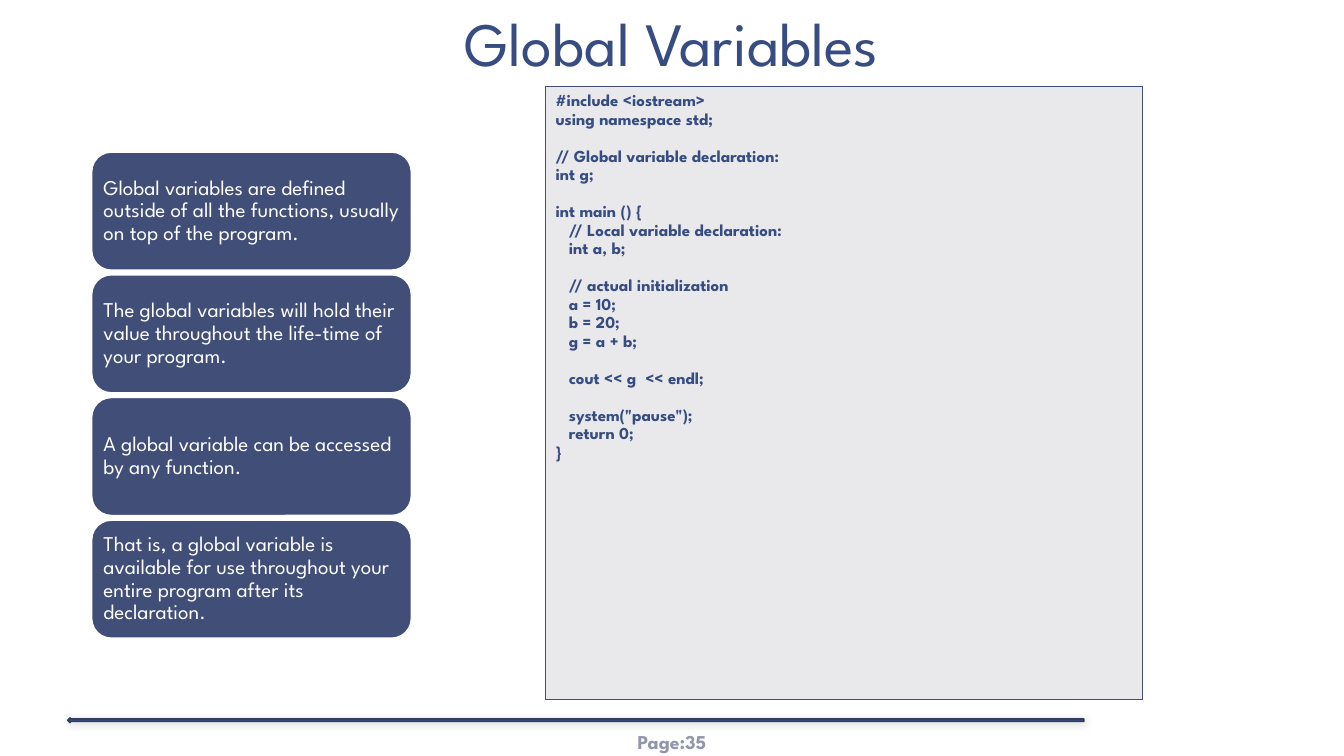
"""Build the Global Variables slide: four statement cards beside a code listing."""
from lxml.etree import SubElement
from pptx import Presentation
from pptx.dml.color import RGBColor
from pptx.enum.shapes import MSO_SHAPE as Shape
from pptx.enum.text import MSO_ANCHOR as Anchor, PP_ALIGN as Align
from pptx.oxml.ns import qn
from pptx.util import Inches, Pt

FONT = "League Spartan"
WHITE = RGBColor(0xFF, 0xFF, 0xFF)
BLUE = RGBColor(0x37, 0x4C, 0x81)
CARD_BLUE = RGBColor(0x41, 0x4E, 0x77)
DARK_BLUE = RGBColor(0x30, 0x3A, 0x58)
PAGE_GREY = RGBColor(0x91, 0x96, 0xAC)
CODE_GREY = RGBColor(0xE9, 0xE9, 0xEC)

STATEMENTS = [
    "Global variables are defined outside of all the functions, usually on top of the program.",
    "The global variables will hold their value throughout the life-time of your program.",
    "A global variable can be accessed by any function.",
    "That is, a global variable is available for use throughout your entire program after its declaration.",
]
CARD_TOP, CARD_PITCH = 1.51, 1.217

CODE = """#include <iostream>
using namespace std;

// Global variable declaration:
int g;

int main () {
   // Local variable declaration:
   int a, b;

   // actual initialization
   a = 10;
   b = 20;
   g = a + b;

   cout << g  << endl;

   system("pause");
   return 0;
}"""
CODE_LINE_HEIGHT = 13.25


def write(paragraph, text, *, size, color, bold=False, align=Align.LEFT,
          line_spacing=1.0, space_before=0):
    """Put formatted text in a paragraph."""
    paragraph.alignment = align
    paragraph.line_spacing = line_spacing
    if space_before:
        paragraph.space_before = Pt(space_before)
    run = paragraph.add_run()
    run.text = text
    run.font.name = FONT
    run.font.size = Pt(size)
    run.font.bold = bold
    run.font.color.rgb = color


class SlideBuilder:
    """Hold the slide and its style, and add each kind of element."""

    def __init__(self, slide):
        """Start with a white background."""
        self.slide = slide
        slide.background.fill.solid()
        slide.background.fill.fore_color.rgb = WHITE

    def fill_frame(self, frame, text, margins, anchor, **style):
        """Set up a text frame and write its one paragraph."""
        frame.word_wrap = True
        frame.vertical_anchor = anchor
        frame.margin_left = frame.margin_right = Inches(margins[0])
        frame.margin_top = frame.margin_bottom = Inches(margins[1])
        write(frame.paragraphs[0], text, **style)

    def text(self, text, box, margins, anchor, **style):
        """Add a text box."""
        shape = self.slide.shapes.add_textbox(*map(Inches, box))
        self.fill_frame(shape.text_frame, text, margins, anchor, **style)

    def shape(self, kind, box, fill, line):
        """Add a flat preset shape."""
        shape = self.slide.shapes.add_shape(kind, *map(Inches, box))
        shape.shadow.inherit = False
        shape.fill.solid()
        shape.fill.fore_color.rgb = fill
        shape.line.color.rgb = line
        shape.line.width = Pt(1)
        return shape

    def card(self, text, top):
        """Add a rounded card holding one statement."""
        shape = self.shape(Shape.ROUNDED_RECTANGLE, (0.91, top, 3.17, 1.17), CARD_BLUE, WHITE)
        self.fill_frame(shape.text_frame, text, (0.06, 0.06), Anchor.MIDDLE,
                        size=15, color=WHITE, line_spacing=0.9)

    def footer_arrow(self, box):
        """Add the footer arrow with its soft shadow."""
        shape = self.shape(Shape.LEFT_ARROW, box, BLUE, DARK_BLUE)
        effects = shape.element.spPr.find(qn("a:effectLst"))
        shadow = SubElement(effects, qn("a:outerShdw"), blurRad=str(Pt(6)),
                            dist=str(Pt(1)), dir="2700000", rotWithShape="0")
        color = SubElement(shadow, qn("a:srgbClr"), val="000000")
        SubElement(color, qn("a:alpha"), val="20000")

    def code_table(self, code, box):
        """Add a one-cell table with the code listing."""
        table = self.slide.shapes.add_table(1, 1, *map(Inches, box)).table
        table.first_row = table.horz_banding = False
        cell = table.cell(0, 0)
        properties = cell._tc.get_or_add_tcPr()
        for side in ("L", "R", "T", "B"):
            border = SubElement(properties, qn(f"a:ln{side}"), w=str(Pt(1)))
            SubElement(SubElement(border, qn("a:solidFill")), qn("a:srgbClr"), val=str(CARD_BLUE))
        cell.fill.solid()
        cell.fill.fore_color.rgb = CODE_GREY
        frame = cell.text_frame
        for number, block in enumerate(code.split("\n\n")):
            for position, line in enumerate(block.split("\n")):
                first = number == position == 0
                paragraph = frame.paragraphs[0] if first else frame.add_paragraph()
                gap = CODE_LINE_HEIGHT if number and position == 0 else 0
                write(paragraph, line, size=12, color=BLUE, bold=True,
                      line_spacing=1.2, space_before=gap)


def main():
    """Build and save the slide."""
    presentation = Presentation()
    presentation.slide_width = Inches(13.33)
    presentation.slide_height = Inches(7.5)
    builder = SlideBuilder(presentation.slides.add_slide(presentation.slide_layouts[6]))
    builder.text("Page:35", (5.78, 7.16, 1.77, 0.4), (0.04, 0.02), Anchor.MIDDLE,
                 size=14, color=PAGE_GREY, bold=True, align=Align.CENTER)
    builder.footer_arrow((0.67, 7.12, 10.08, 0.05))
    builder.text("Global Variables", (0, 0, 13.33, 0.86), (0.13, 0.07), Anchor.BOTTOM,
                 size=44, color=BLUE, align=Align.CENTER, line_spacing=0.85)
    for index, statement in enumerate(STATEMENTS):
        builder.card(statement, CARD_TOP + index * CARD_PITCH)
    builder.code_table(CODE, (5.41, 0.86, 5.92, 6.08))
    presentation.save("out.pptx")


if __name__ == "__main__":
    main()
